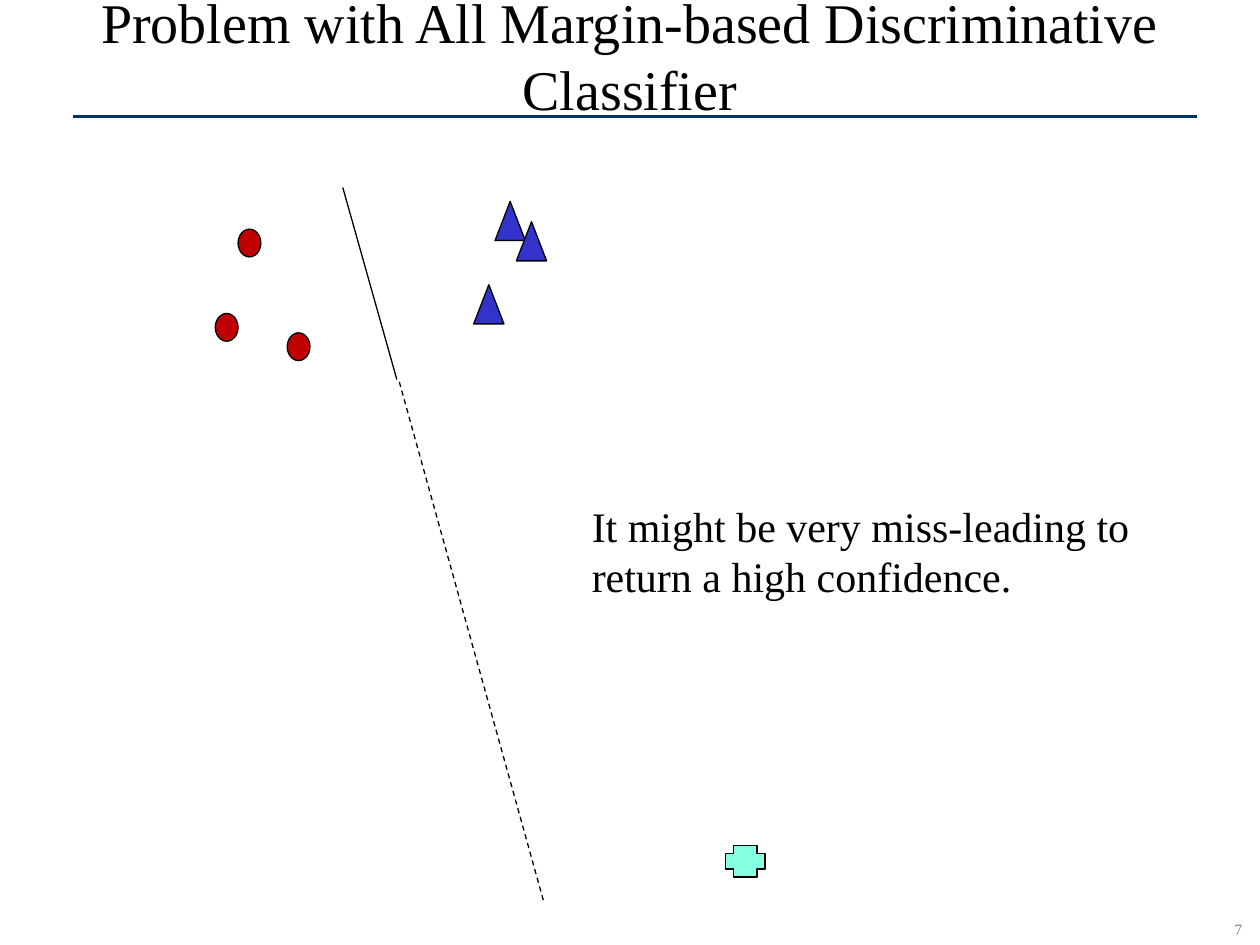
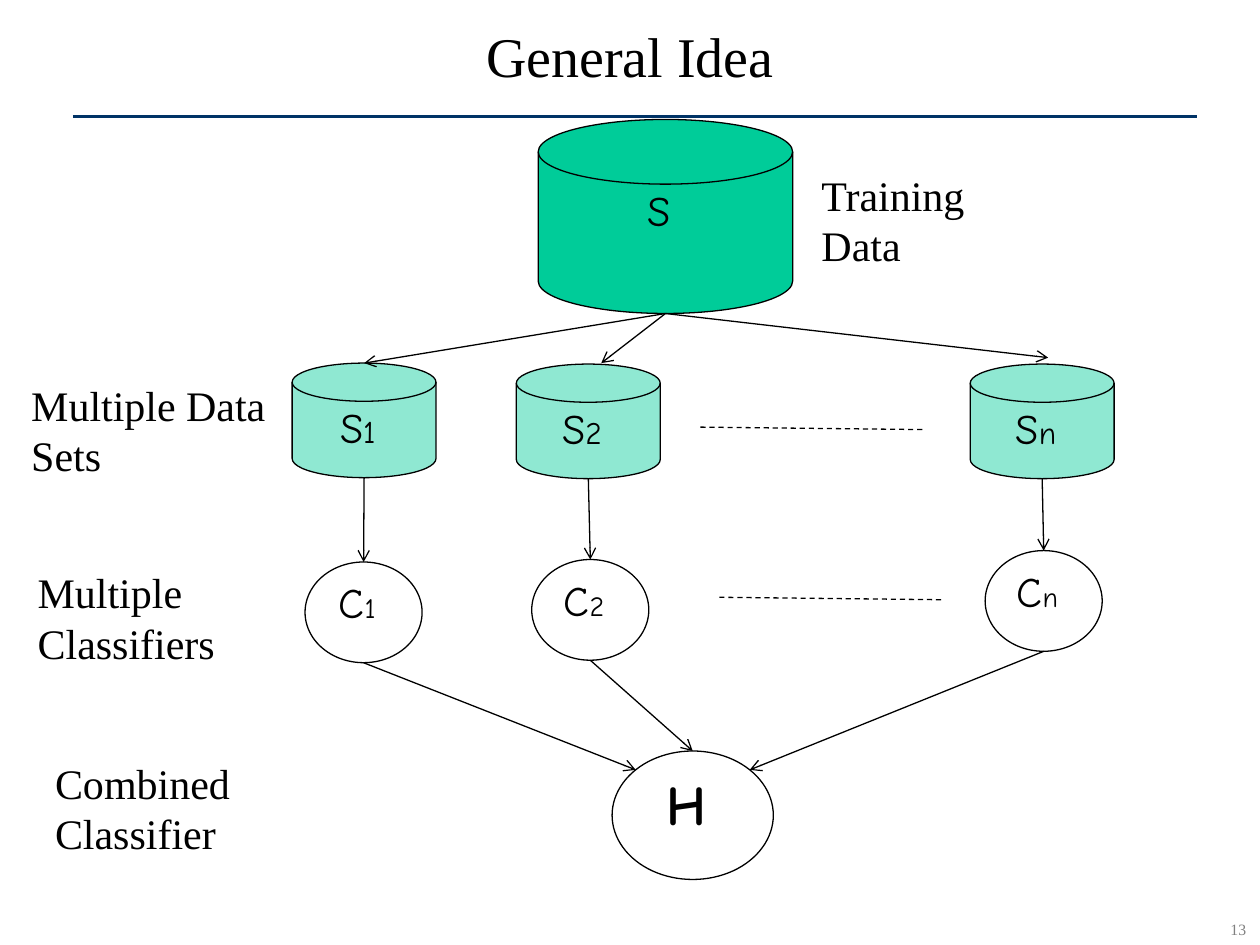
"""Build two slides on margin-based classifiers and on combining classifiers."""
import math
from dataclasses import dataclass

import lxml.etree
import pptx
import pptx.dml.color
import pptx.enum.dml
import pptx.enum.shapes
import pptx.enum.text
import pptx.oxml.ns
import pptx.util

Cm = pptx.util.Cm
Pt = pptx.util.Pt
Shape = pptx.enum.shapes.MSO_SHAPE
Align = pptx.enum.text.PP_ALIGN


@dataclass(frozen=True)
class Theme:
    ink: str = "000000"
    rule: str = "003366"
    number: str = "808080"
    dot: str = "C00000"
    triangle: str = "3333CC"
    cross: str = "85FFE0"
    disk: str = "00CC99"
    sample_opacity: int = 44
    body_font: str = "Times New Roman"
    node_font: str = "Comic Neue"
    title_size: int = 32
    body_size: int = 24
    number_size: int = 9
    combined_size: int = 32
    sample_index_size: int = 18
    classifier_index_size: int = 16
    outline: float = 0.75
    rule_width: float = 1.75


THEME = Theme()

TITLE_BOX = (1.47, 0, 22.71, 2.34)
RULE = ((1.47, 2.34), (24.13, 2.34))
NUMBER_BOX = (24.05, 18.42, 1.83, 0.64)

MARGIN = {
    "title": "Problem with All Margin-based Discriminative Classifier",
    "number": "7",
    "markers": [
        (Shape.OVAL, THEME.dot, (0.46, 0.56), [(4.8, 4.62), (4.34, 6.32), (5.79, 6.71)]),
        (Shape.ISOSCELES_TRIANGLE, THEME.triangle, (0.61, 0.79),
         [(9.98, 4.06), (10.41, 4.47), (9.55, 5.74)]),
        (Shape.CROSS, THEME.cross, (0.79, 0.64), [(14.63, 17.04)]),
    ],
    "boundary": ((6.91, 3.78), (8, 7.65)),
    "extension": ((8.05, 7.7), (10.97, 18.21)),
    "labels": [("It might be very miss-leading to return a high confidence.",
                (11.68, 9.96, 12.95, 2.29))],
}

SAMPLE_SIZE = (2.9, 2.31)
CLASSIFIER_SIZE = (2.36, 2.03)
LABEL_SIZE = (5.26, 2.29)

IDEA = {
    "title": "General Idea",
    "number": "13",
    "training": ("S", (10.85, 2.41, 5.13, 3.91)),
    "combined": ("H", (12.34, 15.14, 3.25, 2.59)),
    "branches": [
        {"index": "1", "sample": (5.89, 7.32), "tip": (7.34, 7.32), "classifier": (6.15, 11.33)},
        {"index": "2", "sample": (10.41, 7.34), "tip": (12.12, 7.32), "classifier": (10.72, 11.28)},
        {"index": "n", "sample": (19.56, 7.34), "tip": (21.13, 7.21), "classifier": (19.86, 11.1)},
    ],
    "gaps": [((14.12, 8.61), (18.64, 8.66)), ((14.5, 12.04), (19.02, 12.09))],
    "labels": [
        ("Training Data", (16.31, 3.28, 3.61, 2.29)),
        ("Multiple Data Sets", (0.38, 7.52, *LABEL_SIZE)),
        ("Multiple Classifiers", (0.51, 11.3, *LABEL_SIZE)),
        ("Combined Classifier", (0.86, 15.14, *LABEL_SIZE)),
    ],
}


def colour(value):
    return pptx.dml.color.RGBColor.from_string(value)


def point_on(area, degrees):
    left, top, width, height = area
    angle = math.radians(degrees)
    return (left + width / 2 * (1 + math.cos(angle)),
            top + height / 2 * (1 - math.sin(angle)))


def set_font(font, name, size, value=THEME.ink, bold=False):
    font.name = name
    font.size = Pt(size)
    font.bold = bold
    font.color.rgb = colour(value)


def set_margins(frame, left, top):
    frame.margin_left, frame.margin_top = Cm(left), Cm(top)
    frame.margin_right, frame.margin_bottom = Cm(0.25), Cm(0.13)


def add_line(page, start, end, value=THEME.ink, width=THEME.outline, dashed=False, arrow=False):
    line = page.shapes.add_connector(
        pptx.enum.shapes.MSO_CONNECTOR.STRAIGHT, *map(Cm, (*start, *end)))
    line.line.color.rgb = colour(value)
    line.line.width = Pt(width)
    if dashed:
        line.line.dash_style = pptx.enum.dml.MSO_LINE.DASH
    properties = line._element.spPr
    if arrow:
        outline = properties.find(pptx.oxml.ns.qn("a:ln"))
        lxml.etree.SubElement(outline, pptx.oxml.ns.qn("a:tailEnd"), type="arrow")
    lxml.etree.SubElement(properties, pptx.oxml.ns.qn("a:effectLst"))


def add_figure(page, kind, area, fill=None, opacity=None):
    figure = page.shapes.add_shape(kind, *map(Cm, area))
    figure.shadow.inherit = False
    figure.line.color.rgb = colour(THEME.ink)
    figure.line.width = Pt(THEME.outline)
    if fill is None:
        figure.fill.background()
    else:
        figure.fill.solid()
        figure.fill.fore_color.rgb = colour(fill)
    if opacity is not None:
        tint = figure._element.spPr.find(pptx.oxml.ns.qn("a:solidFill"))[0]
        lxml.etree.SubElement(tint, pptx.oxml.ns.qn("a:alpha"), val=str(opacity * 1000))
    return figure


def add_node_text(figure, letter, size=THEME.body_size, index="", index_size=None, bold=False):
    frame = figure.text_frame
    set_margins(frame, 0, 0)
    frame.vertical_anchor = pptx.enum.text.MSO_ANCHOR.TOP
    para = frame.paragraphs[0]
    para.alignment = Align.CENTER
    set_font(para.font, THEME.node_font, size, bold=bold)
    para.add_run().text = letter
    if index:
        span = para.add_run()
        span.text = index
        span.font.size = Pt(index_size)


def add_text(page, text, area, size=THEME.body_size, value=THEME.ink,
             alignment=Align.LEFT, wrap=True):
    box = page.shapes.add_textbox(*map(Cm, area))
    frame = box.text_frame
    set_margins(frame, 0.25, 0.13)
    frame.word_wrap = wrap
    frame.auto_size = pptx.enum.text.MSO_AUTO_SIZE.SHAPE_TO_FIT_TEXT
    para = frame.paragraphs[0]
    para.text = text
    para.alignment = alignment
    set_font(para.font, THEME.body_font, size, value)


def add_page(deck, content):
    page = deck.slides.add_slide(deck.slide_layouts.get_by_name("Title Only"))
    add_text(page, content["number"], NUMBER_BOX, THEME.number_size, THEME.number,
             Align.CENTER, wrap=False)
    add_line(page, *RULE, value=THEME.rule, width=THEME.rule_width)
    title = page.shapes.title
    title.left, title.top, title.width, title.height = map(Cm, TITLE_BOX)
    frame = title.text_frame
    set_margins(frame, 0, 0)
    frame.word_wrap = True
    frame.auto_size = pptx.enum.text.MSO_AUTO_SIZE.NONE
    frame.vertical_anchor = pptx.enum.text.MSO_ANCHOR.MIDDLE
    para = frame.paragraphs[0]
    para.text = content["title"]
    para.alignment = Align.CENTER
    set_font(para.font, THEME.body_font, THEME.title_size)
    for text, area in content["labels"]:
        add_text(page, text, area)
    return page


def build_margin(deck):
    page = add_page(deck, MARGIN)
    for kind, fill, size, places in MARGIN["markers"]:
        for place in places:
            add_figure(page, kind, (*place, *size), fill)
    add_line(page, *MARGIN["boundary"])
    add_line(page, *MARGIN["extension"], dashed=True)


def build_idea(deck):
    page = add_page(deck, IDEA)
    letter, training = IDEA["training"]
    add_node_text(add_figure(page, Shape.FLOWCHART_MAGNETIC_DISK, training, THEME.disk), letter)
    letter, combined = IDEA["combined"]
    add_node_text(add_figure(page, Shape.OVAL, combined), letter, THEME.combined_size, bold=True)
    for branch, entry in zip(IDEA["branches"], (135, 90, 45)):
        sample = (*branch["sample"], *SAMPLE_SIZE)
        classifier = (*branch["classifier"], *CLASSIFIER_SIZE)
        disk = add_figure(page, Shape.FLOWCHART_MAGNETIC_DISK, sample,
                          THEME.disk, THEME.sample_opacity)
        add_node_text(disk, "S", index=branch["index"], index_size=THEME.sample_index_size)
        circle = add_figure(page, Shape.OVAL, classifier)
        add_node_text(circle, "C", index=branch["index"], index_size=THEME.classifier_index_size)
        for start, end in [
            (point_on(training, 270), branch["tip"]),
            (point_on(sample, 270), point_on(classifier, 90)),
            (point_on(classifier, 270), point_on(combined, entry)),
        ]:
            add_line(page, start, end, arrow=True)
    for start, end in IDEA["gaps"]:
        add_line(page, start, end, dashed=True)


def main():
    deck = pptx.Presentation()
    deck.slide_width, deck.slide_height = Cm(25.4), Cm(19.05)
    build_margin(deck)
    build_idea(deck)
    deck.save("out.pptx")


if __name__ == "__main__":
    main()
